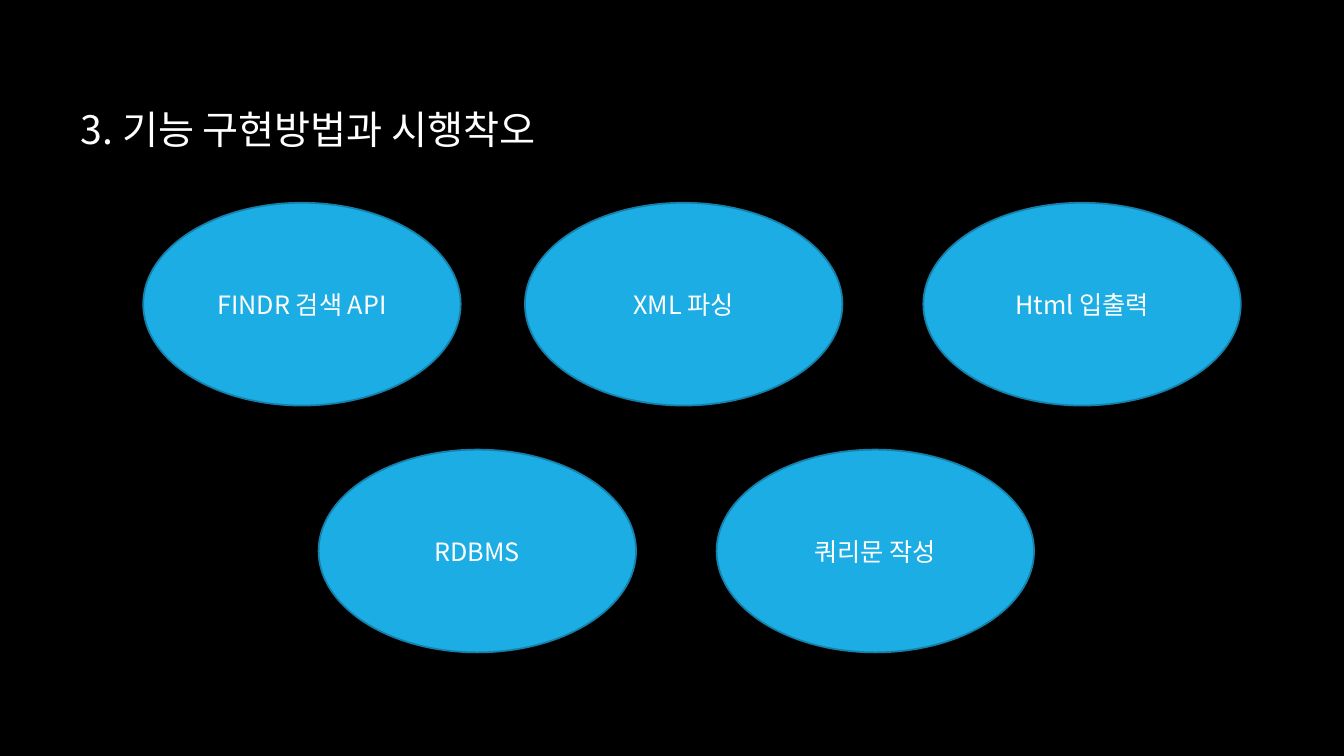
"""Build the slide listing the five implementation topics as ellipses."""
from dataclasses import dataclass

from lxml import etree
from pptx import Presentation
from pptx.dml.color import RGBColor
from pptx.enum import shapes, text
from pptx.oxml.ns import qn
from pptx.util import Cm, Pt

TITLE = "3. 기능 구현방법과 시행착오"
TOPIC_ROWS = [
    (5.11, [(3.61, "FINDR 검색 API"), (13.23, "XML 파싱"), (23.27, "Html 입출력")]),
    (11.33, [(8.03, "RDBMS"), (18.06, "쿼리문 작성")]),
]
ELLIPSE_WIDTH, ELLIPSE_HEIGHT = Cm(8), Cm(5.11)


@dataclass(frozen=True)
class Theme:
    background: RGBColor = RGBColor(0x00, 0x00, 0x00)
    ink: RGBColor = RGBColor(0xFF, 0xFF, 0xFF)
    fill: RGBColor = RGBColor(0x1C, 0xAD, 0xE4)
    outline: RGBColor = RGBColor(0x15, 0x80, 0xA9)
    font: str = "Noto Sans CJK KR"
    title_size: Pt = Pt(28)
    topic_size: Pt = Pt(18)
    outline_width: Pt = Pt(1.25)


THEME = Theme()


def write(shape, content, size, alignment, anchor):
    frame = shape.text_frame
    frame.text = content
    frame.vertical_anchor = anchor
    paragraph = frame.paragraphs[0]
    paragraph.alignment = alignment
    font = paragraph.font
    font.size = size
    font.name = THEME.font
    font.color.rgb = THEME.ink
    latin = font._element.find(qn("a:latin")) if hasattr(font, "_element") else font._rPr.find(qn("a:latin"))
    east_asian = etree.Element(qn("a:ea"), typeface=THEME.font)
    latin.addnext(east_asian)
    return paragraph


def add_title(slide):
    title = slide.shapes.title
    title.left, title.top, title.width, title.height = Cm(1.78), Cm(1.93), Cm(13.56), Cm(2.06)
    paragraph = write(title, TITLE, THEME.title_size, text.PP_ALIGN.LEFT, text.MSO_ANCHOR.TOP)
    paragraph.line_spacing = 1.5
    title.text_frame.word_wrap = False
    title.text_frame.auto_size = text.MSO_AUTO_SIZE.SHAPE_TO_FIT_TEXT


def add_topic(slide, left, top, label):
    ellipse = slide.shapes.add_shape(
        shapes.MSO_SHAPE.OVAL, Cm(left), Cm(top), ELLIPSE_WIDTH, ELLIPSE_HEIGHT
    )
    ellipse.shadow.inherit = False
    ellipse.fill.solid()
    ellipse.fill.fore_color.rgb = THEME.fill
    ellipse.line.color.rgb = THEME.outline
    ellipse.line.width = THEME.outline_width
    write(ellipse, label, THEME.topic_size, text.PP_ALIGN.CENTER, text.MSO_ANCHOR.MIDDLE)


def main():
    presentation = Presentation()
    presentation.slide_width, presentation.slide_height = Cm(33.87), Cm(19.05)
    slide = presentation.slides.add_slide(presentation.slide_layouts.get_by_name("Title Only"))
    slide.background.fill.solid()
    slide.background.fill.fore_color.rgb = THEME.background
    add_title(slide)
    for top, topics in TOPIC_ROWS:
        for left, label in topics:
            add_topic(slide, left, top, label)
    presentation.save("out.pptx")


if __name__ == "__main__":
    main()
